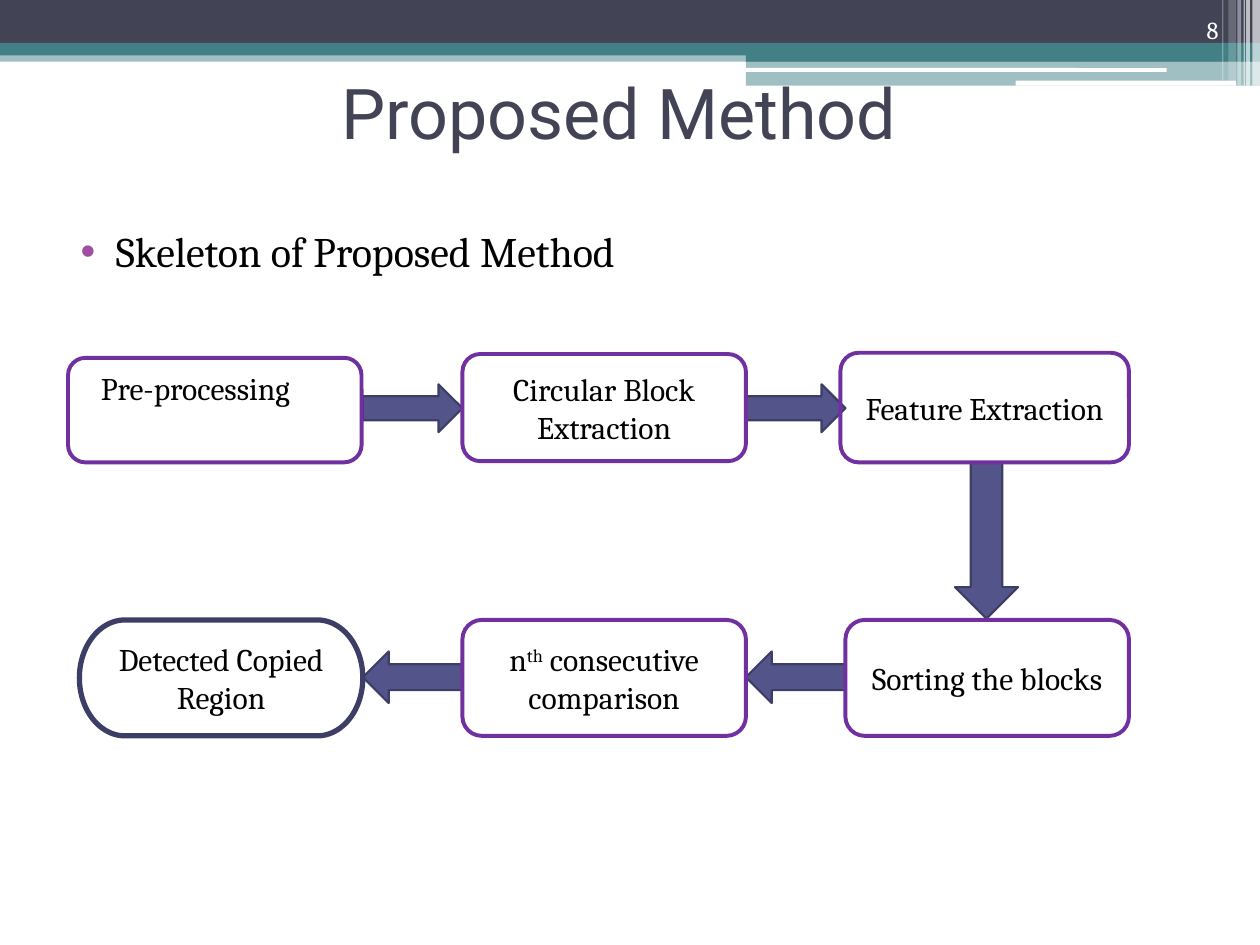
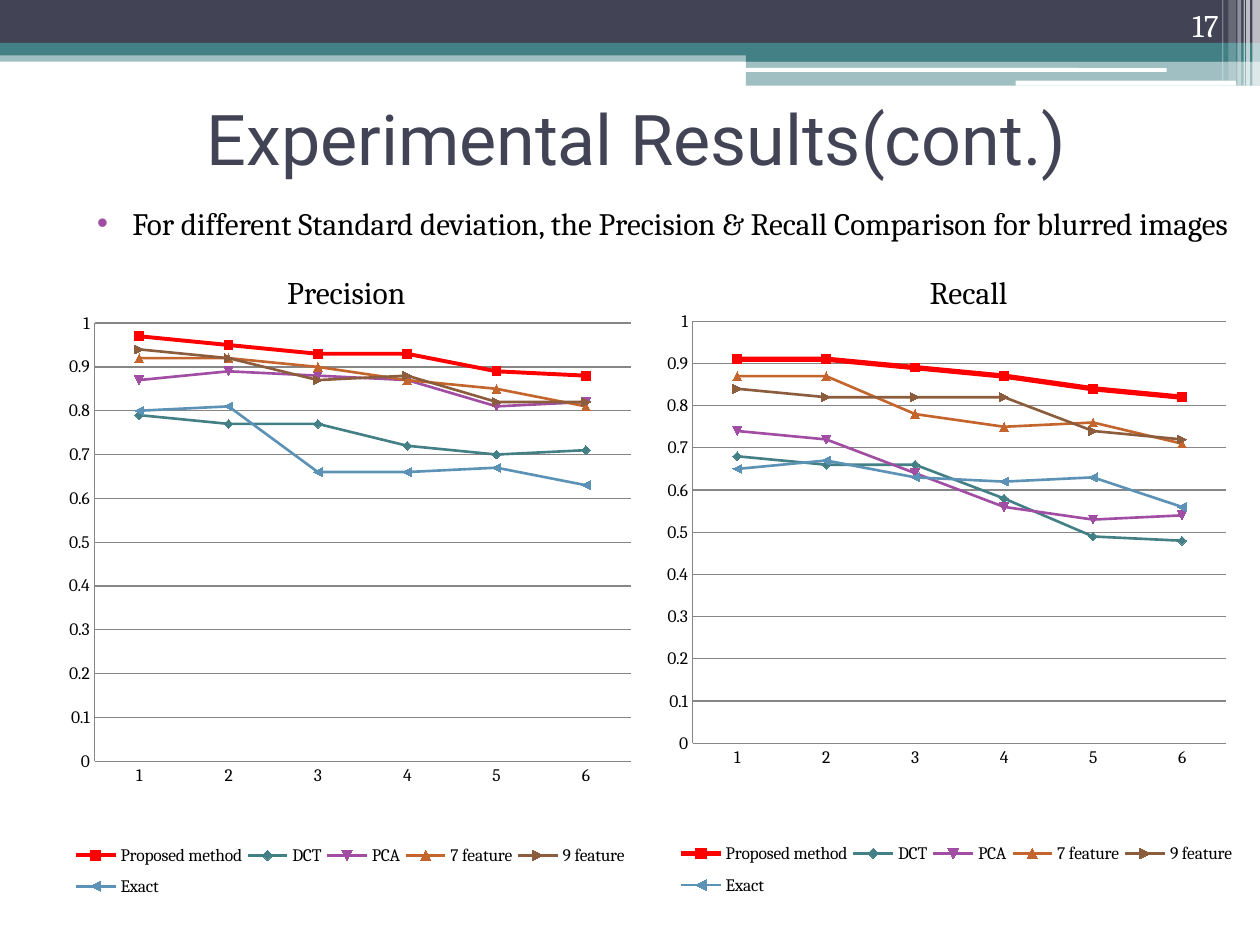
from lxml import etree
from pptx import Presentation
from pptx.chart.data import CategoryChartData
from pptx.dml.color import RGBColor
from pptx.enum.chart import XL_CHART_TYPE, XL_LEGEND_POSITION, XL_TICK_MARK
from pptx.enum.shapes import MSO_SHAPE
from pptx.enum.text import MSO_ANCHOR, MSO_AUTO_SIZE, PP_ALIGN
from pptx.oxml import parse_xml
from pptx.oxml.ns import nsdecls, qn
from pptx.util import Pt

RECT, ROUND = MSO_SHAPE.RECTANGLE, MSO_SHAPE.ROUNDED_RECTANGLE
EAST, WEST, SOUTH = MSO_SHAPE.RIGHT_ARROW, MSO_SHAPE.LEFT_ARROW, MSO_SHAPE.DOWN_ARROW
PILL = MSO_SHAPE.FLOWCHART_TERMINATOR
LEFT, CENTER, RIGHT = PP_ALIGN.LEFT, PP_ALIGN.CENTER, PP_ALIGN.RIGHT
TOP, MIDDLE, BOTTOM = MSO_ANCHOR.TOP, MSO_ANCHOR.MIDDLE, MSO_ANCHOR.BOTTOM
FIXED = MSO_AUTO_SIZE.NONE
LINES, NO_TICK = XL_CHART_TYPE.LINE_MARKERS, XL_TICK_MARK.NONE
SIDE = XL_LEGEND_POSITION.RIGHT

PX = 9144
HEAD, BODY = "Roboto", "Cambria"
INK, TEAL, WHITE, BLACK = "424456", "438086", "FFFFFF", "000000"
PLUM, VIOLET, FILL, EDGE, GREY = "A04DA3", "7030A0", "53548A", "3D3E66", "868686"

BANDS = [
    (RECT, (0, 40, 1000, 9), TEAL, 50),
    (RECT, (0, 0, 1000, 34), INK, 100),
    (RECT, (0, 34, 1000, 10), TEAL, 100),
    (RECT, (592, 39, 408, 10), TEAL, 100),
    (RECT, (592, 48, 408, 20), TEAL, 50),
    (ROUND, (591, 54, 335, 3), WHITE, 100),
    (ROUND, (806, 64, 175, 4), WHITE, 100),
]
STRIPES = [(994, 6, 68, 65), (989, 3, 68, 65), (987, 1, 68, 60),
           (982, 3, 68, 40), (975, 6, 64, 20), (970, 1, 64, 30)]
BANDS += [(RECT, (x, 0, w, h), WHITE, alpha) for x, w, h, alpha in STRIPES]

PAGES = [
    dict(title="Proposed Method", spot=(9, 40, 964, 97),
         page="8", corner=(888, 4, 89, 36), size=14,
         point="Skeleton of Proposed Method", area=(42, 141, 926, 576),
         big=24, inset=38),
    dict(title="Experimental Results(cont.)", spot=(55, 55, 900, 108),
         page="17", corner=(894, 0, 83, 40), size=18,
         point="For different Standard deviation, the Precision & Recall "
               "Comparison for blurred images", area=(55, 157, 937, 85),
         big=17.8, inset=5),
]

STEPS = [
    (ROUND, "Circular Block Extraction", (367, 281, 225, 85)),
    (ROUND, "Feature Extraction", (667, 280, 229, 87)),
    (ROUND, "Sorting the blocks", (671, 492, 225, 92)),
    (ROUND, ("n", "th", " consecutive comparison"), (367, 492, 225, 92)),
    (PILL, "Detected Copied Region", (63, 492, 225, 92)),
]
FIRST = ("Pre-processing", (54, 284, 233, 83))
ARROWS = [(kind, (x, y, 79, h)) for kind, y, h in ((EAST, 305, 38), (WEST, 517, 41))
          for x in (288, 592)]
ARROWS.append((SOUTH, (758, 367, 50, 124)))

NAMES = [("Proposed method", "FF0000"), ("DCT", TEAL), ("PCA", PLUM),
         ("7 feature", "C4652D"), ("9 feature", "8B5D3D"), ("Exact", "5C92B5")]
CHARTS = [
    dict(label="Precision", mark=(218, 212, 124, 40), box=(17, 242, 484, 483),
         plot=(0.12, 0.03, 0.88, 0.72), key=(0.08, 0.87, 0.92, 0.12), bold=2.25,
         rows=[(0.97, 0.95, 0.93, 0.93, 0.89, 0.88),
               (0.79, 0.77, 0.77, 0.72, 0.7, 0.71),
               (0.87, 0.89, 0.88, 0.87, 0.81, 0.82),
               (0.92, 0.92, 0.9, 0.87, 0.85, 0.81),
               (0.94, 0.92, 0.87, 0.88, 0.82, 0.82),
               (0.8, 0.81, 0.66, 0.66, 0.67, 0.63)]),
    dict(label="Recall", mark=(728, 212, 89, 40), box=(507, 225, 476, 500),
         plot=(0.09, 0.06, 0.89, 0.67), key=(0.06, 0.87, 0.94, 0.12), bold=3,
         rows=[(0.91, 0.91, 0.89, 0.87, 0.84, 0.82),
               (0.68, 0.66, 0.66, 0.58, 0.49, 0.48),
               (0.74, 0.72, 0.64, 0.56, 0.53, 0.54),
               (0.87, 0.87, 0.78, 0.75, 0.76, 0.71),
               (0.84, 0.82, 0.82, 0.82, 0.74, 0.72),
               (0.65, 0.67, 0.63, 0.62, 0.63, 0.56)]),
]


def rgb(code):
    return RGBColor.from_string(code)


def emu(box):
    return [n * PX for n in box]


def place(shape, box):
    shape.left, shape.top, shape.width, shape.height = emu(box)


def style(font, size, color=BLACK, face=BODY):
    font.name, font.size = face, Pt(size)
    font.color.rgb = rgb(color)


def write(shape, text, size, color=BLACK, face=BODY, align=LEFT, anchor=TOP, wrap=True):
    frame = shape.text_frame
    frame.word_wrap, frame.auto_size = wrap, FIXED
    frame.vertical_anchor = anchor
    para = frame.paragraphs[0]
    for part in [text] if isinstance(text, str) else text:
        run = para.add_run()
        run.text = part
        if part == "th":
            run.font._element.set("baseline", "30000")
    para.alignment = align
    style(para.font, size, color, face)
    return para


def draw(slide, kind, box, fill=None, line=None, width=1):
    shape = slide.shapes.add_shape(kind, *emu(box))
    shape.shadow.inherit = False
    if fill:
        shape.fill.solid()
        shape.fill.fore_color.rgb = rgb(fill)
    else:
        shape.fill.background()
    if line:
        shape.line.color.rgb = rgb(line)
        shape.line.width = Pt(width)
    else:
        shape.line.fill.background()
    return shape


def deck(slide, master):
    for num, (kind, box, color, alpha) in enumerate(BANDS, 100):
        band = draw(slide, kind, box, color)
        if alpha < 100:
            tint = band.element.spPr.find(".//" + qn("a:srgbClr"))
            etree.SubElement(tint, qn("a:alpha")).set("val", str(alpha * 1000))
        band.element.nvSpPr.cNvPr.set("id", str(num))
        master.shapes.element.append(band.element)


def bullet(para):
    para.space_before = Pt(3)
    props = para._p.get_or_add_pPr()
    props.set("marL", str(40 * PX))
    props.set("indent", str(-28 * PX))
    tint = etree.SubElement(props, qn("a:buClr"))
    etree.SubElement(tint, qn("a:srgbClr")).set("val", PLUM)
    etree.SubElement(props, qn("a:buFont")).set("typeface", "Arial")
    etree.SubElement(props, qn("a:buChar")).set("char", "•")


def start(slide, info):
    title, body = slide.shapes.title, slide.placeholders[1]
    place(title, info["spot"])
    write(title, info["title"], 40, INK, HEAD, CENTER, MIDDLE)
    place(body, info["area"])
    bullet(write(body, info["point"], info["big"]))
    body.text_frame.margin_top = info["inset"] * PX
    corner = slide.shapes.add_textbox(*emu(info["corner"]))
    write(corner, info["page"], info["size"], WHITE, align=RIGHT, anchor=BOTTOM)


def flow(slide):
    for kind, box in ARROWS:
        draw(slide, kind, box, FILL, EDGE, 1.25)
    text, box = FIRST
    first = draw(slide, ROUND, box, None, VIOLET, 2.25)
    write(first, text, 18)
    first.text_frame.margin_left = 22 * PX
    for kind, text, box in STEPS:
        line, width = (EDGE, 3) if kind == PILL else (VIOLET, 2.25)
        step = draw(slide, kind, box, None, line, width)
        write(step, text, 18, align=CENTER, anchor=MIDDLE)


def pin(node, index, box, inner=False):
    old = node.find(qn("c:layout"))
    if old is not None:
        node.remove(old)
    layout = parse_xml(f"<c:layout {nsdecls('c')}><c:manualLayout/></c:layout>")
    pairs = [("layoutTarget", "inner")] if inner else []
    pairs += [("xMode", "edge"), ("yMode", "edge"), *zip("xywh", box)]
    for tag, val in pairs:
        etree.SubElement(layout[0], qn("c:" + tag)).set("val", str(val))
    node.insert(index, layout)


def graph(slide, info):
    mark = slide.shapes.add_textbox(*emu(info["mark"]))
    write(mark, info["label"], 18, wrap=False)
    data = CategoryChartData()
    data.categories = [str(n) for n in range(1, 7)]
    for (name, _), row in zip(NAMES, info["rows"]):
        data.add_series(name, row)
    chart = slide.shapes.add_chart(LINES, *emu(info["box"]), data).chart
    style(chart.font, 10)
    chart.has_title = False
    chart.has_legend = True
    chart.legend.position = SIDE
    chart.legend.include_in_layout = False
    pin(chart.legend._element, 1, info["key"])
    pin(chart._chartSpace.chart.plotArea, 0, info["plot"], True)
    axis = chart.value_axis
    axis.minimum_scale, axis.maximum_scale, axis.major_unit = 0, 1, 0.1
    axis.has_major_gridlines = True
    for part in (axis, chart.category_axis):
        part.major_tick_mark = part.minor_tick_mark = NO_TICK
    for part in (axis, chart.category_axis, axis.major_gridlines):
        part.format.line.color.rgb = rgb(GREY)
        part.format.line.width = Pt(0.75)
    plot = chart.plots[0]
    plot.vary_by_categories = False
    for index, (series, (_, color)) in enumerate(zip(plot.series, NAMES)):
        series.smooth = False
        series.format.line.color.rgb = rgb(color)
        series.format.line.width = Pt(1.5 if index else info["bold"])
        series.marker.size = 5
        dot = series.marker.format
        dot.fill.solid()
        dot.fill.fore_color.rgb = rgb(color)
        dot.line.color.rgb = rgb(color)


def main():
    prs = Presentation()
    prs.slide_width, prs.slide_height = emu((1000, 750))
    slides = [prs.slides.add_slide(prs.slide_layouts[1]) for _ in PAGES]
    deck(slides[0], prs.slide_master)
    for slide, info in zip(slides, PAGES):
        start(slide, info)
    flow(slides[0])
    for info in CHARTS:
        graph(slides[1], info)
    prs.save("out.pptx")


if __name__ == "__main__":
    main()
